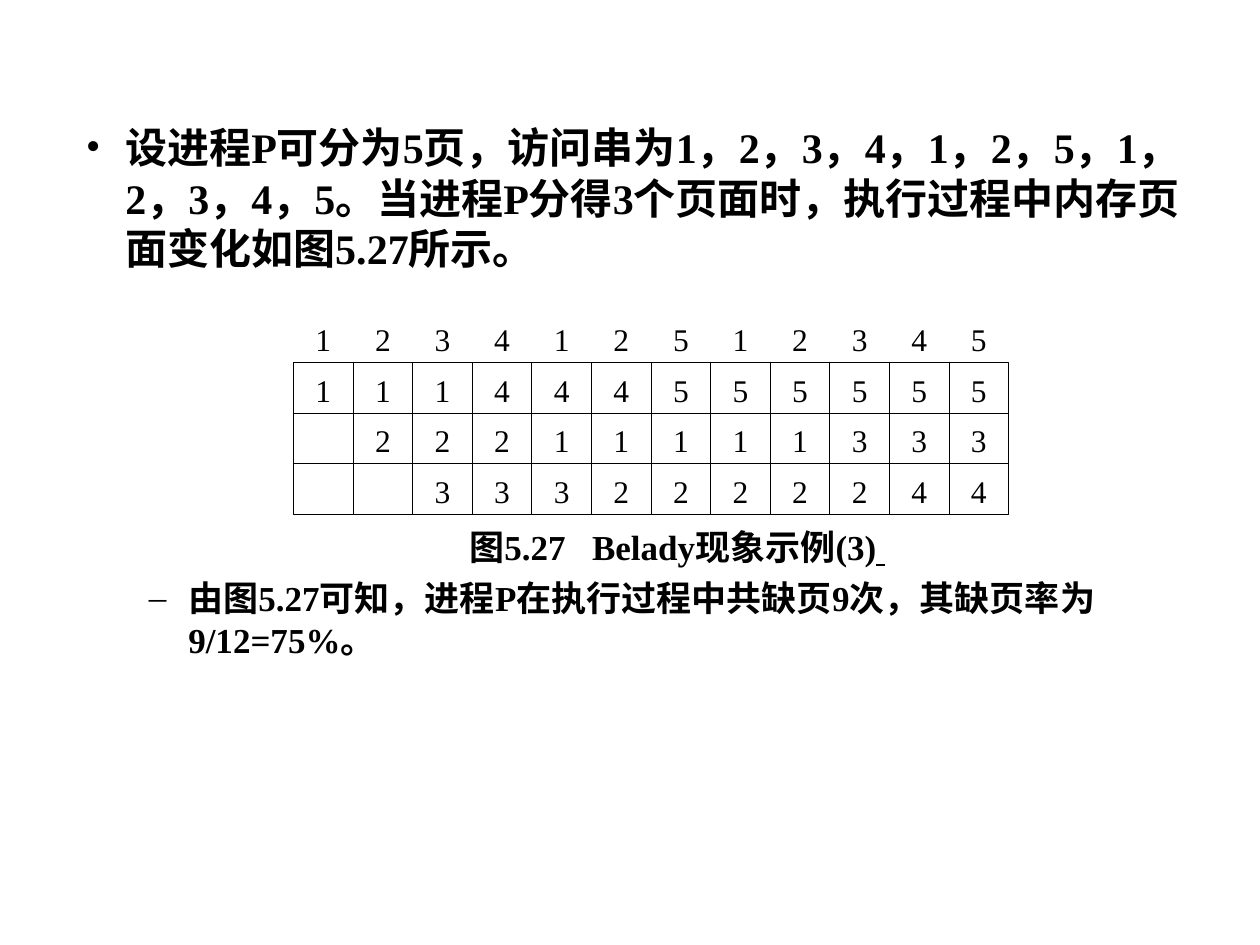
from lxml.etree import SubElement
from pptx import Presentation
from pptx.dml.color import RGBColor
from pptx.enum.shapes import MSO_SHAPE
from pptx.enum.text import MSO_ANCHOR, PP_ALIGN
from pptx.oxml.ns import qn
from pptx.util import Pt

FONT = "Times New Roman"
BLACK = "000000"

ACCESS_STRING = "123412512345"
# One string per memory frame, one character per access; a space is an empty frame
FRAMES = [
    "111444555555",
    " 22211111333",
    "  3332222244",
]
GRID_LEFT, GRID_TOP = 167.75, 207
COLUMN_WIDTH, ROW_HEIGHT = 34.05, 29

INTRO = ("设进程P可分为5页，访问串为1，2，3，4，1，2，5，1，2，3，4，5。"
         "当进程P分得3个页面时，执行过程中内存页面变化如图5.27所示。")
CONCLUSION = "由图5.27可知，进程P在执行过程中共缺页9次，其缺页率为9/12=75%。"


def color(hex_value):
    return RGBColor.from_string(hex_value)


def style_font(paragraph, size, bold):
    font = paragraph.font
    font.name, font.size, font.bold = FONT, Pt(size), bold
    font.color.rgb = color(BLACK)


def format_body(paragraph, size, margin, level=0, before=0, bullet=None):
    """Indent, space and style one paragraph of the body text."""
    paragraph.level = level
    paragraph.space_before = Pt(before)
    properties = paragraph._p.get_or_add_pPr()
    properties.set("marL", str(Pt(margin)))
    properties.set("indent", str(-Pt(22.5)))
    if bullet:
        bullet_color = SubElement(properties, qn("a:buClr"))
        SubElement(bullet_color, qn("a:srgbClr"), val=BLACK)
        SubElement(properties, qn("a:buFont"), typeface=FONT)
        SubElement(properties, qn("a:buChar"), char=bullet)
    else:
        SubElement(properties, qn("a:buNone"))
    style_font(paragraph, size, True)


def add_body(slide):
    box = slide.shapes.add_textbox(Pt(42), Pt(66), Pt(654), Pt(438))
    frame = box.text_frame
    frame.word_wrap = True

    intro = frame.paragraphs[0]
    intro.text = INTRO
    format_body(intro, 24, 22.5, bullet="•")

    # The space before the caption leaves room for the page grid
    caption = frame.add_paragraph()
    caption.alignment = PP_ALIGN.CENTER
    caption.add_run().text = "图5.27"
    gap = caption.add_run()
    gap.text = " "
    gap.font._element.set("spc", "1000")
    caption.add_run().text = "Belady现象示例(3)"
    tail = caption.add_run()
    tail.text = " "
    tail.font.underline = True
    format_body(caption, 20, 58.5, level=1, before=144.5)

    conclusion = frame.add_paragraph()
    conclusion.text = CONCLUSION
    format_body(conclusion, 20, 58.5, level=1, before=5, bullet="–")


def write_page(shape, page):
    frame = shape.text_frame
    frame.word_wrap = True
    frame.vertical_anchor = MSO_ANCHOR.MIDDLE
    # The digits sit slightly below the middle of their cells
    frame.margin_top, frame.margin_bottom = Pt(4.5), Pt(2.5)
    paragraph = frame.paragraphs[0]
    paragraph.text = page
    paragraph.alignment = PP_ALIGN.CENTER
    style_font(paragraph, 18, False)


def cell_bounds(column, row):
    return (Pt(GRID_LEFT + column * COLUMN_WIDTH), Pt(GRID_TOP + row * ROW_HEIGHT),
            Pt(COLUMN_WIDTH), Pt(ROW_HEIGHT))


def add_access(slide, column, page):
    write_page(slide.shapes.add_textbox(*cell_bounds(column, -1)), page)


def add_frame_cell(slide, column, row, page):
    cell = slide.shapes.add_shape(MSO_SHAPE.RECTANGLE, *cell_bounds(column, row))
    cell.shadow.inherit = False
    cell.fill.background()
    cell.line.color.rgb = color(BLACK)
    cell.line.width = Pt(0.5)
    if page != " ":
        write_page(cell, page)


def add_page_grid(slide):
    for column, access in enumerate(ACCESS_STRING):
        add_access(slide, column, access)
        for row, pages in enumerate(FRAMES):
            add_frame_cell(slide, column, row, pages[column])


def main():
    presentation = Presentation()
    presentation.slide_width, presentation.slide_height = Pt(720), Pt(540)
    slide = presentation.slides.add_slide(presentation.slide_layouts[6])
    add_body(slide)
    add_page_grid(slide)
    presentation.save("out.pptx")


if __name__ == "__main__":
    main()
